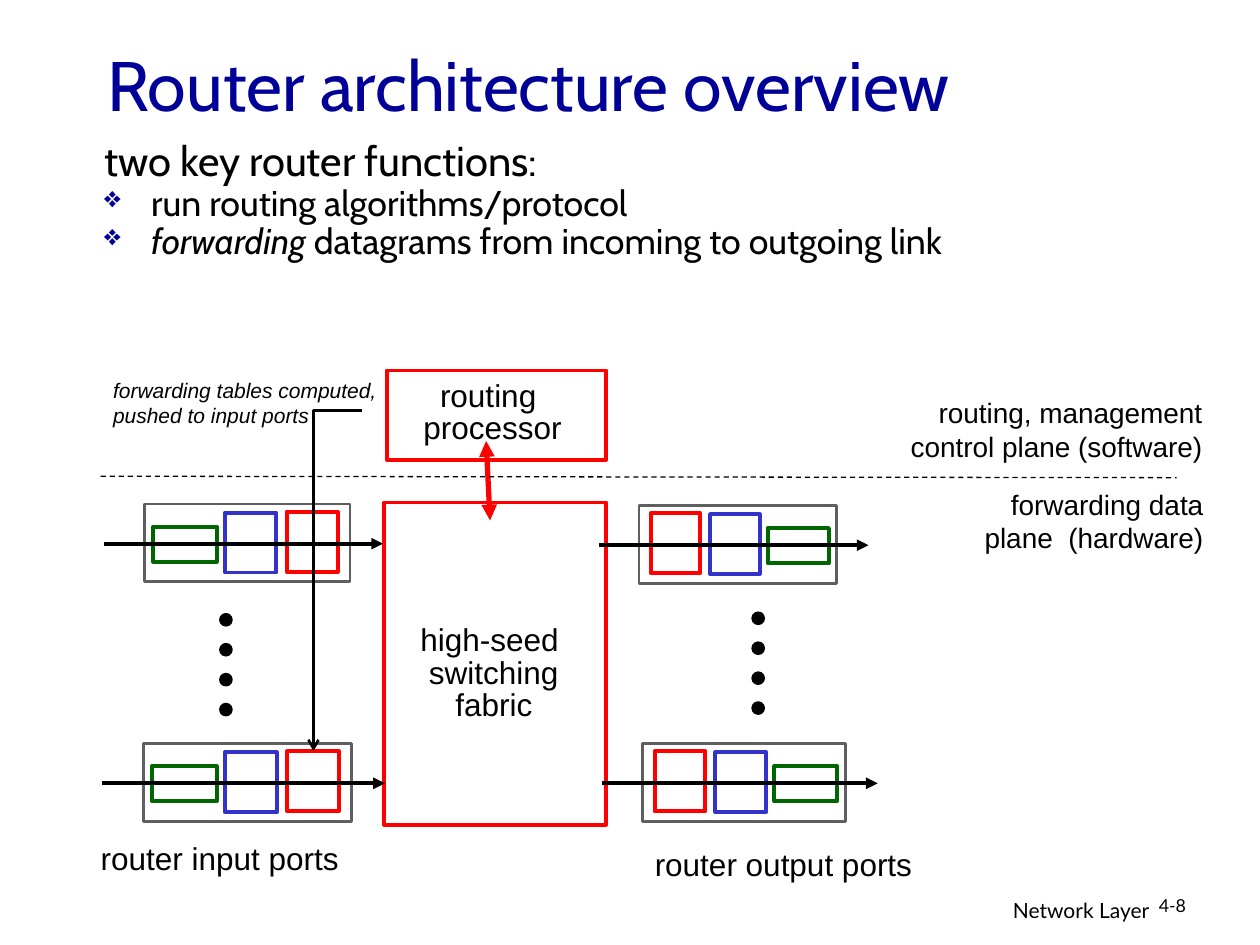
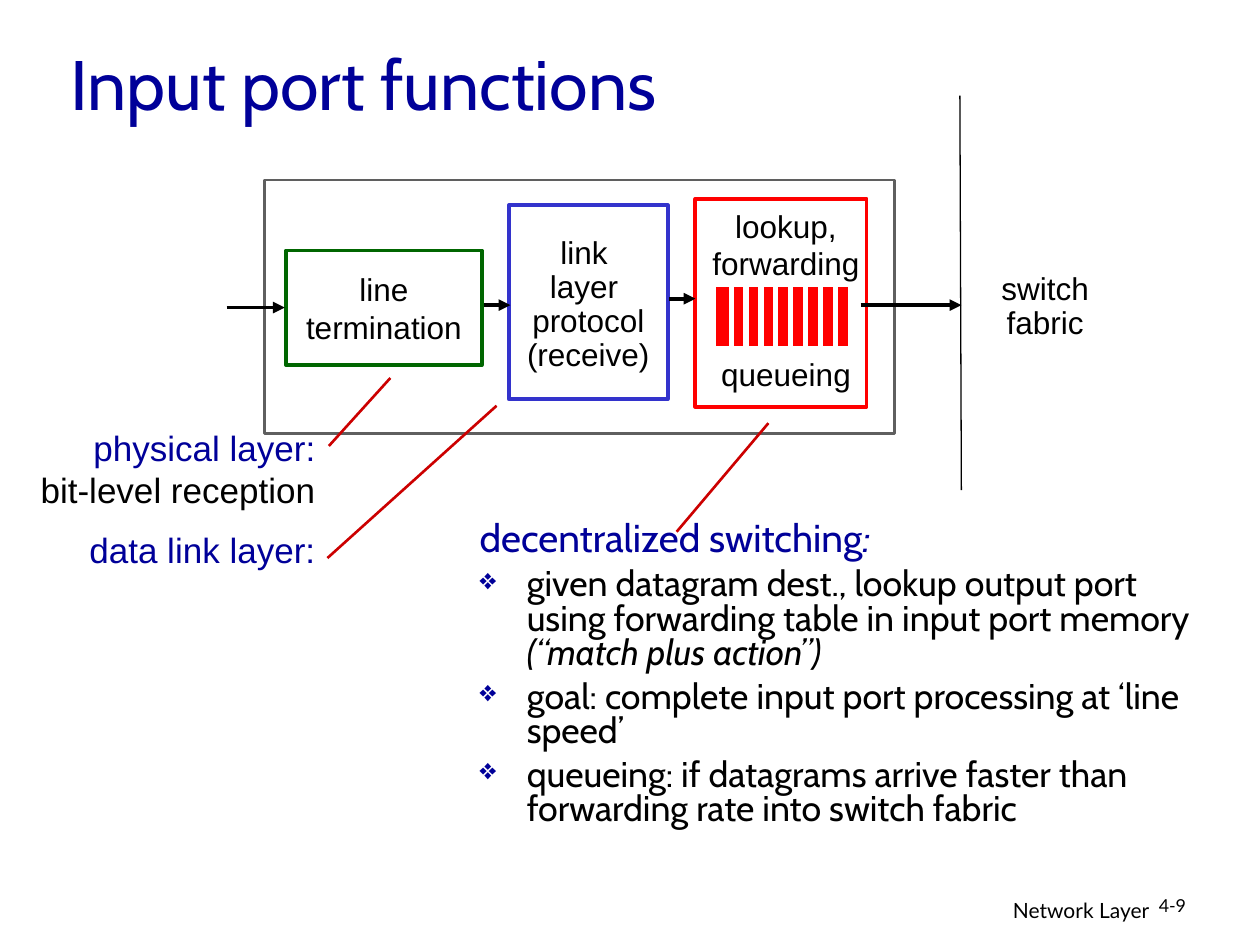
from dataclasses import dataclass, replace

from lxml.etree import SubElement
from pptx import Presentation
from pptx.dml.color import RGBColor
from pptx.enum.dml import MSO_LINE_DASH_STYLE as Dash
from pptx.enum.shapes import MSO_CONNECTOR_TYPE as ConnectorType
from pptx.enum.shapes import MSO_SHAPE as ShapeKind
from pptx.enum.text import MSO_ANCHOR as Anchor
from pptx.enum.text import PP_ALIGN as Align
from pptx.oxml.ns import qn
from pptx.util import Cm, Pt


@dataclass(frozen=True)
class Style:
    size: float
    font: str = "Arial"
    colour: str = "000000"
    italic: bool = False


@dataclass(frozen=True)
class Theme:
    black: str = "000000"
    white: str = "FFFFFF"
    navy: str = "000099"
    red: str = "FF0000"
    pointer: str = "CC0000"
    blue: str = "3333CC"
    green: str = "006600"
    grey: str = "5F5F5F"
    hairline: float = 0.75
    thin: float = 1.5
    medium: float = 2.25
    thick: float = 3
    title: Style = Style(40, "Cabin", "000099")
    heading: Style = Style(23.8, "Cabin")
    subheading: Style = Style(22.2, "Cabin", "000099")
    bullet: Style = Style(20.4, "Cabin")
    layer: Style = Style(20)
    label: Style = Style(18)
    plane: Style = Style(16)
    note: Style = Style(12, italic=True)
    footer: Style = Style(12, "Lato")
    number: Style = Style(10.2, "Lato")


THEME = Theme()


@dataclass(frozen=True)
class Box:
    left: float
    top: float
    width: float
    height: float

    def inner(self, left, top, width, height):
        return Box(self.left + left, self.top + top, width, height)

    def share(self, left, top, width, height):
        return self.inner(left * self.width, top * self.height,
                          width * self.width, height * self.height)

    def point(self, x, y):
        return self.left + x, self.top + y

    def lengths(self):
        return [Cm(value) for value in (self.left, self.top, self.width, self.height)]


def emphasised(style):
    return replace(style, italic=True)


def add_run(paragraph, text, style):
    run = paragraph.add_run()
    run.text = text
    font = run.font
    font.name, font.size, font.italic = style.font, Pt(style.size), style.italic
    font.color.rgb = RGBColor.from_string(style.colour)


def add_bullet(paragraph):
    properties = paragraph._p.get_or_add_pPr()
    properties.set("marL", str(Cm(0.95)))
    properties.set("indent", str(Cm(-0.95)))
    colour = SubElement(properties, qn("a:buClr"))
    SubElement(colour, qn("a:srgbClr"), val=THEME.navy)
    SubElement(properties, qn("a:buSzPct"), val="82000")
    SubElement(properties, qn("a:buChar"), char="❖")


def write(shape, paragraphs, align=Align.LEFT, spacing=None, wrap=False,
          anchor=Anchor.TOP, before=0, bullets=False):
    frame = shape.text_frame
    frame.word_wrap = wrap
    frame.vertical_anchor = anchor
    for index, runs in enumerate(paragraphs):
        paragraph = frame.add_paragraph() if index else frame.paragraphs[0]
        if index and bullets:
            add_bullet(paragraph)
        paragraph.alignment = align
        if spacing:
            paragraph.line_spacing = spacing
        if index and before:
            paragraph.space_before = Pt(before)
        for text, style in runs:
            add_run(paragraph, text, style)
    return frame


def add_text(slide, box, paragraphs, **layout):
    return write(slide.shapes.add_textbox(*box.lengths()), paragraphs, **layout)


def lines(style, *texts):
    return [[(text, style)] for text in texts]


def set_line(line, colour, width):
    line.color.rgb = RGBColor.from_string(colour)
    line.width = Pt(width)


def add_block(slide, box, outline, width=THEME.medium, fill=THEME.white,
              kind=ShapeKind.RECTANGLE):
    shape = slide.shapes.add_shape(kind, *box.lengths())
    shape.shadow.inherit = False
    shape.fill.solid()
    shape.fill.fore_color.rgb = RGBColor.from_string(fill)
    set_line(shape.line, outline, width)
    return shape


def add_line(slide, start, end, colour, width, head=None, tail=None, dash=None):
    connector = slide.shapes.add_connector(
        ConnectorType.STRAIGHT, *[Cm(value) for value in (*start, *end)])
    set_line(connector.line, colour, width)
    if dash:
        connector.line.dash_style = dash
    add_arrowheads(connector.line, head, tail)
    SubElement(connector._element.spPr, qn("a:effectLst"))


def add_arrowheads(line, head=None, tail=None):
    for tag, kind in (("a:headEnd", head), ("a:tailEnd", tail)):
        if kind:
            SubElement(line._get_or_add_ln(), qn(tag), type=kind)


def add_flow(slide, start, end):
    add_line(slide, start, end, THEME.black, THEME.medium, tail="triangle")


def add_page(presentation, title, title_box, number):
    slide = presentation.slides.add_slide(presentation.slide_layouts[6])
    add_text(slide, Box(15.37, 17.96, 8.05, 0.79), lines(THEME.footer, "Network Layer"),
             align=Align.RIGHT, wrap=True)
    add_text(slide, Box(23.11, 17.96, 1.88, 0.76), lines(THEME.number, number),
             spacing=0.9, wrap=True)
    add_text(slide, title_box, lines(THEME.title, title), anchor=Anchor.MIDDLE, wrap=True)
    return slide


def draw_core(slide, box):
    fabric = box.inner(0, 2.66, 4.47, 6.5)
    processor = box.inner(0.05, 0, 4.42, 1.8)
    centred = {"align": Align.CENTER, "spacing": 0.85}
    add_block(slide, fabric, THEME.red)
    add_text(slide, fabric.inner(0.28, 2.37, 3.85, 2.21),
             lines(THEME.label, "high-seed ", "switching", "fabric"), **centred)
    add_block(slide, processor, THEME.red)
    add_text(slide, processor.inner(0.28, 0.1, 3.7, 1.55),
             lines(THEME.label, "routing ", "processor"), **centred)
    add_line(slide, box.point(2.05, 1.42), box.point(2.13, 3.02), THEME.red,
             THEME.thick, head="triangle", tail="triangle")


def draw_port(slide, box, mirrored):
    stages = (
        (0.04, 0.29, 0.31, 0.45, THEME.green),
        (0.39, 0.11, 0.25, 0.77, THEME.blue),
        (0.69, 0.1, 0.25, 0.77, THEME.red),
    )
    add_block(slide, box, THEME.grey, THEME.thin)
    for left, top, width, height, colour in stages:
        left = 1 - left - width if mirrored else left
        add_block(slide, box.share(left, top, width, height), colour)
    middle = 0.51 * box.height
    add_flow(slide, box.point(-0.2 * box.width, middle),
             box.point(1.16 * box.width, middle))


def draw_dots(slide, box):
    count, diameter = 4, box.width
    pitch = (box.height - diameter) / (count - 1)
    for index in range(count):
        add_block(slide, box.inner(0, index * pitch, diameter, diameter), THEME.black,
                  THEME.hairline, THEME.black, ShapeKind.OVAL)


def draw_ports(slide, first, last, dots, label_box, label, mirrored=False):
    for box in (first, last):
        draw_port(slide, box, mirrored)
    draw_dots(slide, dots)
    add_text(slide, label_box, lines(THEME.label, label))


def draw_planes(slide, box):
    add_line(slide, box.point(0, 1.75), box.point(box.width, 1.78), THEME.black,
             THEME.hairline, dash=Dash.DASH)
    add_text(slide, box.inner(17.1, 1.85, 5.38, 1.63),
             lines(THEME.plane, "forwarding data plane  (hardware)"),
             align=Align.RIGHT, wrap=True)
    add_text(slide, box.inner(15.65, 0, 6.81, 1.63),
             lines(THEME.plane, "routing, management", "control plane (software)"),
             align=Align.RIGHT, wrap=True)


def draw_table_push(slide, box):
    start, corner, end = [
        tuple(Cm(value) for value in box.point(x, y))
        for x, y in ((5.26, 0.79), (4.29, 0.79), (4.29, 7.65))
    ]
    builder = slide.shapes.build_freeform(*start)
    builder.add_line_segments([corner, end], close=False)
    arrow = builder.convert_to_shape()
    arrow.shadow.inherit = False
    arrow.fill.background()
    set_line(arrow.line, THEME.black, THEME.thin)
    add_arrowheads(arrow.line, tail="arrow")
    add_text(slide, box, lines(THEME.note, "forwarding tables computed,",
                               "pushed to input ports"))


def build_router_slide(presentation):
    slide = add_page(presentation, "Router architecture overview",
                     Box(1.91, 0.84, 21.59, 1.7), "4-8")
    style = THEME.bullet
    add_text(slide, Box(1.85, 2.92, 22.58, 2.54), [
        [("two key router functions:", THEME.heading)],
        [("run routing algorithms/protocol", style)],
        [("forwarding ", emphasised(style)),
         ("datagrams from incoming to outgoing link", style)],
    ], spacing=0.65, before=6, wrap=True, bullets=True)
    draw_core(slide, Box(7.75, 7.47, 4.47, 9.16))
    draw_ports(slide, Box(2.92, 10.16, 4.14, 1.57), Box(2.9, 14.99, 4.19, 1.57),
               Box(4.43, 12.37, 0.25, 2.06), Box(1.78, 16.79, 5.31, 1.02),
               "router input ports")
    draw_ports(slide, Box(12.88, 10.19, 3.99, 1.57), Box(12.95, 14.99, 4.09, 1.57),
               Box(15.16, 12.34, 0.25, 2.06), Box(12.95, 16.92, 5.69, 1.02),
               "router output ports", mirrored=True)
    draw_planes(slide, Box(2.03, 7.85, 21.69, 3.48))
    draw_table_push(slide, Box(2.03, 7.49, 5.82, 1.27))


def draw_queue(slide, box):
    add_block(slide, box, THEME.white, THEME.thick, THEME.red)
    for index in range(8):
        x = 0.36 + 0.3 * index
        add_line(slide, box.point(x, 0), box.point(x, 1.24), THEME.white, THEME.thick)


def draw_input_port(slide, box):
    centred = {"align": Align.CENTER, "anchor": Anchor.MIDDLE}
    add_block(slide, box, THEME.grey, THEME.thin)
    termination = add_block(slide, box.inner(0.44, 1.42, 3.94, 2.31), THEME.green)
    write(termination, lines(THEME.label, "line", "termination"), **centred)
    link = add_block(slide, box.inner(4.93, 0.51, 3.2, 3.91), THEME.blue)
    link_frame = write(link, lines(THEME.label, "link ", "layer ", "protocol", "(receive)"),
                       spacing=0.9, **centred)
    link_frame.margin_top = Cm(0.26)
    add_block(slide, box.inner(8.69, 0.38, 3.45, 4.19), THEME.red)
    for start, end, y in ((-0.76, 0.41, 2.57), (4.42, 4.96, 2.52),
                          (8.16, 8.69, 2.39), (12.02, 14.05, 2.52)):
        add_flow(slide, box.point(start, y), box.point(end, y))
    lookup = add_text(slide, box.inner(8.49, 0.41, 4.05, 4.06),
                      lines(THEME.label, "lookup,", "forwarding", "queueing"),
                      align=Align.CENTER)
    lookup.paragraphs[-1].space_before = Pt(41.4)
    draw_queue(slide, box.inner(9.05, 2.11, 2.77, 1.3))
    add_line(slide, box.point(14.02, -1.7), box.point(14.05, 6.25), THEME.black,
             THEME.hairline)
    add_text(slide, box.inner(14.28, 1.42, 2.92, 2.31),
             lines(THEME.label, "switch", "fabric"), spacing=0.9, **centred)


def draw_layers(slide, box):
    name = replace(THEME.layer, colour=THEME.navy)
    add_text(slide, box.inner(0, 0, 6.05, 1.96), [
        [("physical layer:", name)],
        [("bit-level reception", THEME.layer)],
    ], align=Align.RIGHT, wrap=True)
    add_text(slide, box.inner(0, 2.04, 6.05, 1.12), lines(name, "data link layer:"),
             align=Align.RIGHT, wrap=True)
    for start, end in (((6.07, 0.51), (7.31, -0.86)), ((6.04, 2.77), (9.45, -0.3)),
                       ((13.08, 2.24), (14.93, 0.05))):
        add_line(slide, box.point(*start), box.point(*end), THEME.pointer, THEME.thin)


def build_input_port_slide(presentation):
    slide = add_page(presentation, "Input port functions",
                     Box(1.17, 0.81, 21.59, 1.7), "4-9")
    draw_input_port(slide, Box(5.33, 3.63, 12.7, 5.11))
    style = THEME.bullet
    add_text(slide, Box(9.42, 10.41, 15.16, 7.42), [
        [("decentralized switching", THEME.subheading),
         (":", emphasised(THEME.subheading))],
        [("given datagram dest., lookup output port using forwarding table "
          "in input port memory ", style),
         ("(“match plus action”)", emphasised(style))],
        [("goal: complete input port processing at ‘line speed’", style)],
        [("queueing: if datagrams arrive faster than forwarding rate "
          "into switch fabric", style)],
    ], spacing=0.8, before=5.5, wrap=True, bullets=True)
    draw_layers(slide, Box(0.56, 8.48, 6.05, 3.16))


def main():
    presentation = Presentation()
    presentation.slide_width, presentation.slide_height = Cm(25.4), Cm(19.05)
    build_router_slide(presentation)
    build_input_port_slide(presentation)
    presentation.save("out.pptx")


if __name__ == "__main__":
    main()
